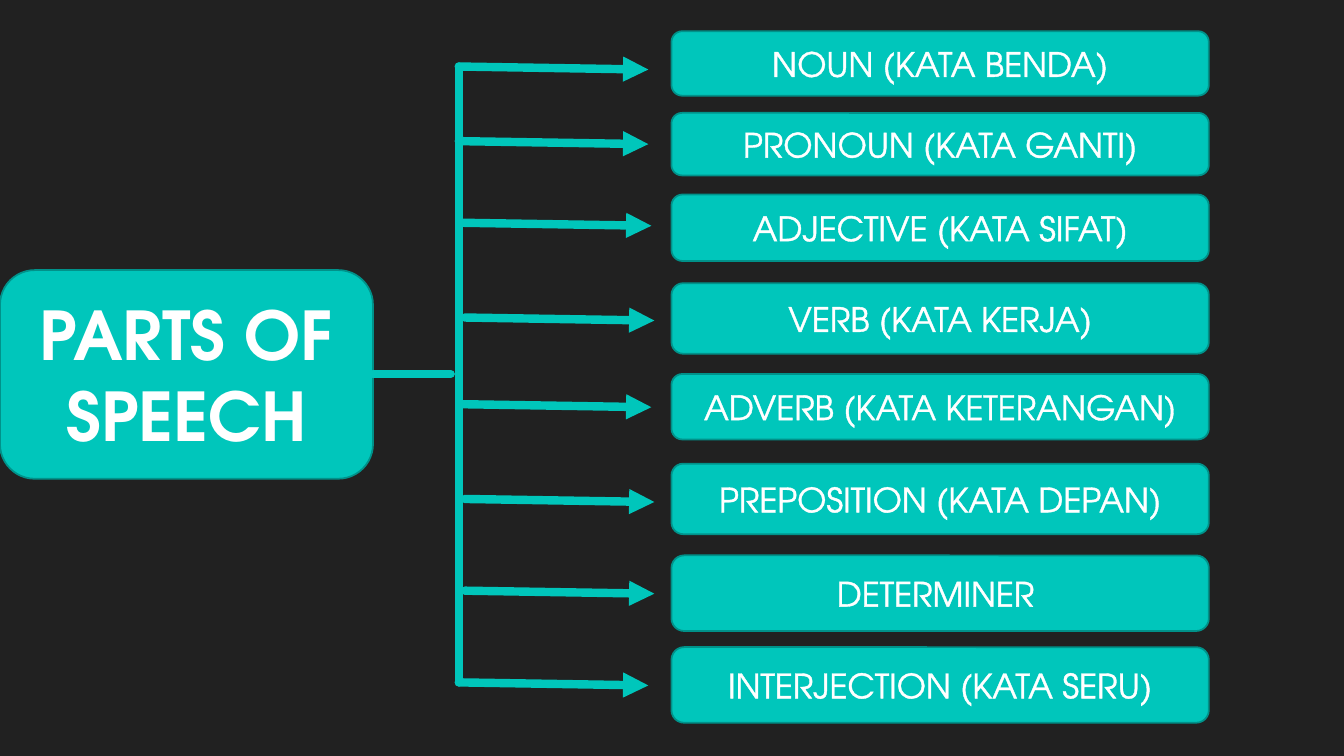
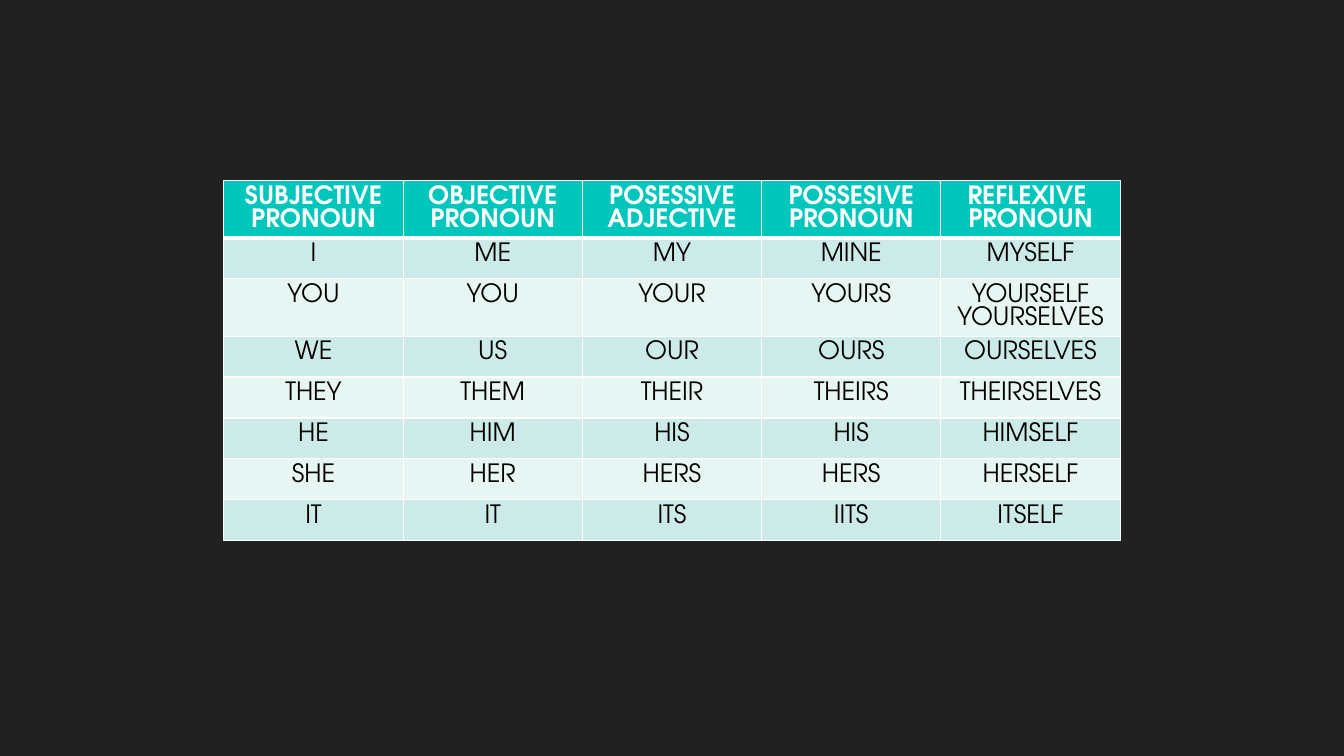
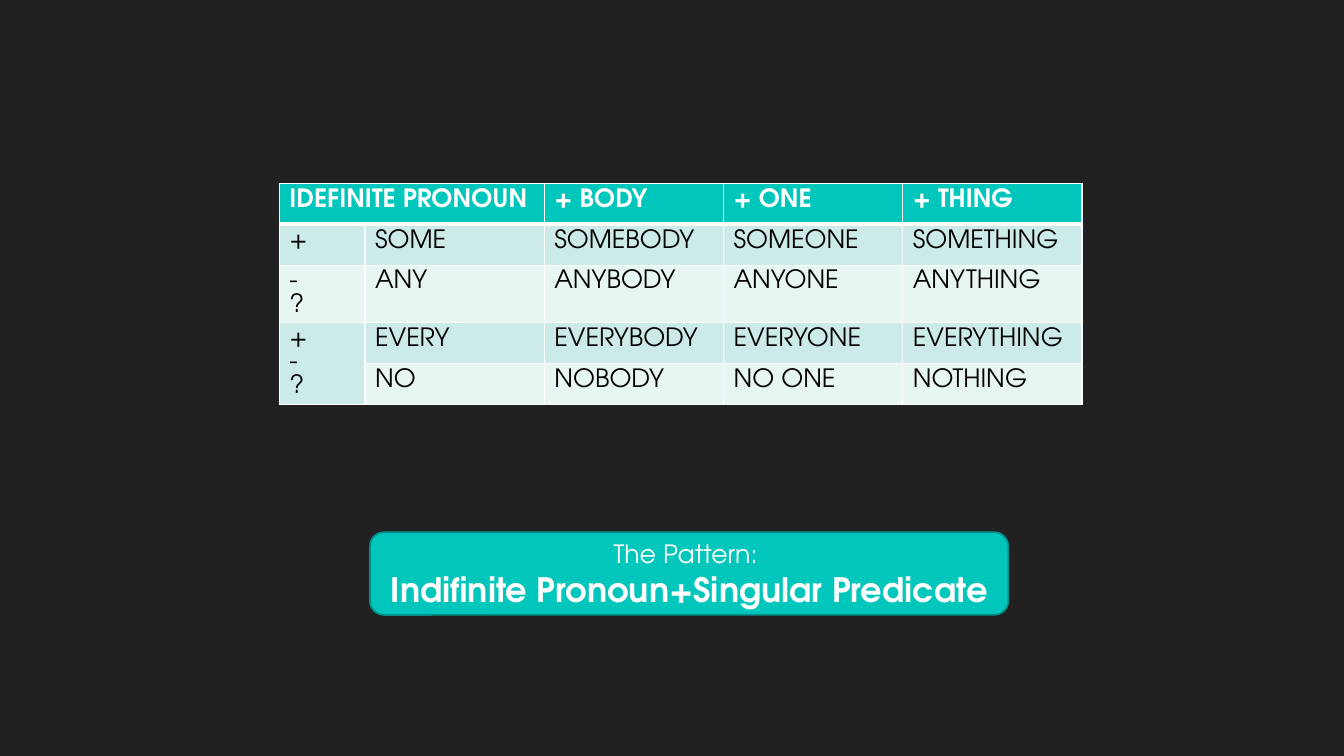
from pptx import Presentation
from pptx.dml.color import RGBColor
from pptx.enum.shapes import MSO_CONNECTOR, MSO_SHAPE
from pptx.enum.text import MSO_ANCHOR, PP_ALIGN
from pptx.oxml import parse_xml
from pptx.oxml.ns import nsdecls
from pptx.util import Inches, Pt

ROUNDED = MSO_SHAPE.ROUNDED_RECTANGLE
STRAIGHT = MSO_CONNECTOR.STRAIGHT
MIDDLE = MSO_ANCHOR.MIDDLE
LEFT, CENTER = PP_ALIGN.LEFT, PP_ALIGN.CENTER

# Shared look
FONT = "TeX Gyre Adventor"
DARK, TEAL, EDGE = "212121", "00C6BB", "00928A"
WHITE, BLACK = "FFFFFF", "000000"
BANDS = ("CCEAE7", "E7F5F3")
HEADER_TEXT = {"size": Pt(18), "bold": True}
BODY_TEXT = {"size": Pt(18), "bold": False}
ROW_HEIGHT, TALL_ROW = 3.65 / 9, 0.57
COLUMN_WIDTH = 8.89 / 5

# Slide 1: word class, box top, box height, arrow start x, arrow start y
ROOT_BOX = (0, 2.68, 3.7, 2.07)
WORD_CLASSES = [
    ("NOUN (KATA BENDA)", 0.31, 0.64, 4.55, 0.66),
    ("PRONOUN (KATA GANTI)", 1.12, 0.62, 4.55, 1.4),
    ("ADJECTIVE (KATA SIFAT)", 1.93, 0.66, 4.58, 2.21),
    ("VERB (KATA KERJA)", 2.81, 0.7, 4.61, 3.15),
    ("ADVERB (KATA KETERANGAN)", 3.71, 0.65, 4.58, 4.01),
    ("PREPOSITION (KATA DEPAN)", 4.6, 0.7, 4.61, 4.95),
    ("DETERMINER ", 5.51, 0.75, 4.61, 5.86),
    ("INTERJECTION (KATA SERU)", 6.42, 0.75, 4.55, 6.77),
]
CLASS_LEFT, CLASS_WIDTH = 6.66, 5.33
ARROW_RUN, ARROW_DROP = 1.88, 0.03
TRUNK = (4.55, 0.66, 4.55, 6.77)
STEM = (3.7, 3.71, 4.47, 3.71)

# Slide 2: a line break starts a new paragraph
PRONOUNS = [
    ("SUBJECTIVE\nPRONOUN", "OBJECTIVE\nPRONOUN", "POSESSIVE\nADJECTIVE",
     "POSSESIVE\nPRONOUN", "REFLEXIVE \nPRONOUN"),
    ("I", "ME", "MY", "MINE", "MYSELF"),
    ("YOU", "YOU", "YOUR", "YOURS", "YOURSELF\nYOURSELVES"),
    ("WE", "US", "OUR", "OURS", "OURSELVES"),
    ("THEY", "THEM", "THEIR", "THEIRS", "THEIRSELVES"),
    ("HE", "HIM", "HIS", "HIS", "HIMSELF"),
    ("SHE", "HER", "HERS", "HERS", "HERSELF"),
    ("IT", "IT", "ITS", "IITS", "ITSELF"),
]
PRONOUN_TALL_ROWS = (0, 2)

# Slide 3: None marks a cell covered by a merged neighbour
INDEFINITES = [
    ("IDEFINITE PRONOUN", None, "+ BODY", "+ ONE", "+ THING"),
    ("+", "SOME", "SOMEBODY", "SOMEONE", "SOMETHING"),
    ("-\n?", "ANY", "ANYBODY", "ANYONE", "ANYTHING"),
    ("+\n-\n?", "EVERY", "EVERYBODY", "EVERYONE", "EVERYTHING"),
    (None, "NO", "NOBODY", "NO ONE", "NOTHING"),
]
INDEFINITE_TALL_ROWS = (2,)
INDEFINITE_MERGES = [((0, 0), (0, 1)), ((3, 0), (4, 0))]
PATTERN_BOX = (3.67, 5.28, 6.33, 0.82)
PATTERN = [
    ("The Pattern: ", {"size": Pt(18)}),
    ("Indifinite Pronoun+Singular Predicate", {"size": Pt(24), "bold": True}),
]


def rgb(value):
    return RGBColor.from_string(value)


def line_xml(tag, color, points):
    return parse_xml(
        f'<a:{tag} {nsdecls("a")} w="{Pt(points)}"><a:solidFill>'
        f'<a:srgbClr val="{color}"/></a:solidFill></a:{tag}>')


def write_text(frame, lines, color=WHITE, align=CENTER):
    """Write one paragraph for each (text, format) pair."""
    for index, (text, formats) in enumerate(lines):
        para = frame.add_paragraph() if index else frame.paragraphs[0]
        para.alignment = align
        span = para.add_run()
        span.text = text
        span.font.name = FONT
        span.font.color.rgb = rgb(color)
        for name, value in formats.items():
            setattr(span.font, name, value)


def add_box(slide, place, lines):
    box = slide.shapes.add_shape(ROUNDED, *map(Inches, place))
    box.shadow.inherit = False
    box.fill.solid()
    box.fill.fore_color.rgb = rgb(TEAL)
    box.line.color.rgb = rgb(EDGE)
    box.line.width = Pt(1.25)
    box.text_frame.word_wrap = True
    box.text_frame.vertical_anchor = MIDDLE
    write_text(box.text_frame, lines)
    return box


def add_branch(slide, ends, arrow=False):
    branch = slide.shapes.add_connector(STRAIGHT, *map(Inches, ends))
    branch.line.color.rgb = rgb(TEAL)
    branch.line.width = Pt(6)
    outline = branch.line._get_or_add_ln()
    outline.set("cap", "rnd")
    if arrow:
        outline.append(parse_xml(f'<a:tailEnd {nsdecls("a")} type="triangle"/>'))
    branch._element.spPr.append(parse_xml(f'<a:effectLst {nsdecls("a")}/>'))


def style_cell(cell, row, fill):
    cell.fill.solid()
    cell.fill.fore_color.rgb = rgb(fill)
    widths = {"lnL": 1, "lnR": 1, "lnT": 3 if row == 1 else 1,
              "lnB": 3 if row == 0 else 1}
    properties = cell._tc.get_or_add_tcPr()
    for index, (side, points) in enumerate(widths.items()):
        properties.insert(index, line_xml(side, WHITE, points))


def add_grid(slide, left, top, widths, rows, tall_rows, align, merges=()):
    heights = [TALL_ROW if row in tall_rows else ROW_HEIGHT
               for row in range(len(rows))]
    place = (left, top, sum(widths), sum(heights))
    table = slide.shapes.add_table(
        len(rows), len(widths), *map(Inches, place)).table
    table.horz_banding = False
    for column, width in zip(table.columns, widths):
        column.width = Inches(width)
    for row, (texts, height) in enumerate(zip(rows, heights)):
        table.rows[row].height = Inches(height)
        fill = BANDS[(row - 1) % 2] if row else TEAL
        formats, color = (BODY_TEXT, BLACK) if row else (HEADER_TEXT, WHITE)
        for column, text in enumerate(texts):
            cell = table.cell(row, column)
            style_cell(cell, row, fill)
            if text is not None:
                lines = [(line, formats) for line in text.split("\n")]
                write_text(cell.text_frame, lines, color, align)
    for first, last in merges:
        table.cell(*first).merge(table.cell(*last))


deck = Presentation()
deck.slide_width, deck.slide_height = Inches(13.33), Inches(7.5)
backdrop = deck.slide_master.background.fill
backdrop.solid()
backdrop.fore_color.rgb = rgb(DARK)
blank = deck.slide_layouts[6]

# Slide 1: tree of word classes
slide = deck.slides.add_slide(blank)
add_box(slide, ROOT_BOX, [("PARTS OF SPEECH", {"size": Pt(48), "bold": True})])
for name, top, height, start_x, start_y in WORD_CLASSES:
    box = add_box(slide, (CLASS_LEFT, top, CLASS_WIDTH, height),
                  [(name, {"size": Pt(24)})])
    span = box.text_frame.paragraphs[0].runs[0]
    span._r.get_or_add_rPr().insert(0, line_xml("ln", WHITE, 0.75))
add_branch(slide, TRUNK)
for name, top, height, start_x, start_y in WORD_CLASSES:
    ends = (start_x, start_y, start_x + ARROW_RUN, start_y + ARROW_DROP)
    add_branch(slide, ends, arrow=True)
add_branch(slide, STEM)

# Slide 2: pronoun table
slide = deck.slides.add_slide(blank)
add_grid(slide, 2.22, 1.79, [COLUMN_WIDTH] * 5, PRONOUNS,
         PRONOUN_TALL_ROWS, CENTER)

# Slide 3: indefinite pronoun table and its pattern
slide = deck.slides.add_slide(blank)
add_grid(slide, 2.77, 1.82, [0.85] + [COLUMN_WIDTH] * 4, INDEFINITES,
         INDEFINITE_TALL_ROWS, LEFT, INDEFINITE_MERGES)
add_box(slide, PATTERN_BOX, PATTERN)

deck.save("out.pptx")
